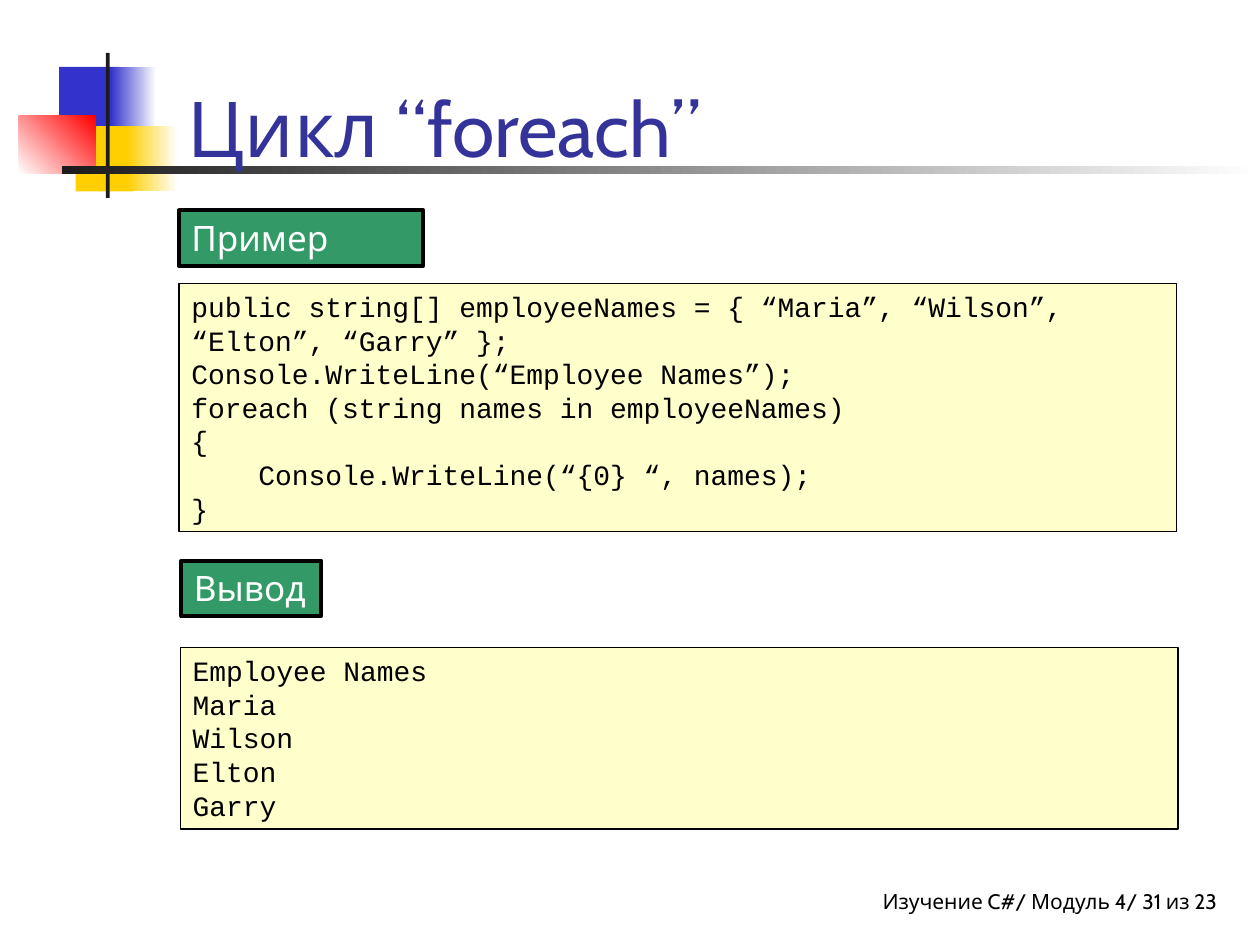
from dataclasses import dataclass

import pptx
import pptx.dml.color
import pptx.enum.shapes
import pptx.enum.text
import pptx.util
from pptx.util import Inches

COLOURS = {
    "blue": "3333CC",
    "yellow": "FFCF01",
    "red": "FF0000",
    "white": "FFFFFF",
    "dark": "1C1C1C",
    "title": "333399",
    "green": "339966",
    "cream": "FFFFCC",
    "black": "000000",
}
ALIGN = pptx.enum.text.PP_ALIGN
ANCHOR = pptx.enum.text.MSO_ANCHOR
AUTO_SIZE = pptx.enum.text.MSO_AUTO_SIZE


@dataclass
class Area:
    left: float
    top: float
    width: float
    height: float

    def lengths(self) -> tuple:
        return tuple(map(Inches, (self.left, self.top, self.width, self.height)))


@dataclass
class Block:
    """A decorative rectangle; one colour is solid, two make a gradient."""
    area: Area
    colours: tuple
    angle: float = 0


@dataclass
class TextStyle:
    font: str
    size: int
    colour: str
    align: ALIGN = ALIGN.LEFT
    anchor: ANCHOR = ANCHOR.TOP
    right_inset: float = 0.1
    auto_size: AUTO_SIZE = AUTO_SIZE.SHAPE_TO_FIT_TEXT


@dataclass
class Panel:
    """A filled and outlined box with text."""
    area: Area
    text: str
    fill: str
    line_width: float
    style: TextStyle


def colour(name: str) -> pptx.dml.color.RGBColor:
    return pptx.dml.color.RGBColor.from_string(COLOURS[name])


def add_rectangle(slide, area: Area):
    shape = slide.shapes.add_shape(
        pptx.enum.shapes.MSO_SHAPE.RECTANGLE, *area.lengths())
    shape.shadow.inherit = False
    return shape


def add_block(slide, block: Block) -> None:
    shape = add_rectangle(slide, block.area)
    shape.line.fill.background()
    if len(block.colours) == 1:
        shape.fill.solid()
        shape.fill.fore_color.rgb = colour(block.colours[0])
        return
    shape.fill.gradient()
    shape.fill.gradient_angle = block.angle
    for stop, name in zip(shape.fill.gradient_stops, block.colours):
        stop.color.rgb = colour(name)


def write_text(box, text: str, style: TextStyle) -> None:
    frame = box.text_frame
    frame.word_wrap = True
    frame.auto_size = style.auto_size
    frame.vertical_anchor = style.anchor
    frame.margin_left = Inches(0.1)
    frame.margin_right = Inches(style.right_inset)
    frame.margin_top = frame.margin_bottom = Inches(0.05)
    frame.text = text
    for para in frame.paragraphs:
        para.alignment = style.align
        for span in para.runs:
            span.font.name = style.font
            span.font.size = pptx.util.Pt(style.size)
            span.font.color.rgb = colour(style.colour)


def add_text(slide, area: Area, text: str, style: TextStyle) -> None:
    write_text(slide.shapes.add_textbox(*area.lengths()), text, style)


def add_panel(slide, panel: Panel) -> None:
    box = add_rectangle(slide, panel.area)
    box.fill.solid()
    box.fill.fore_color.rgb = colour(panel.fill)
    box.line.color.rgb = colour("black")
    box.line.width = pptx.util.Pt(panel.line_width)
    write_text(box, panel.text, panel.style)


TITLE = TextStyle("Cabin", 44, "title", anchor=ANCHOR.BOTTOM,
                  auto_size=AUTO_SIZE.NONE)
FOOTER = TextStyle("Cabin", 12, "black", align=ALIGN.RIGHT, right_inset=0)
LABEL = TextStyle("Cabin", 20, "white")
CODE = TextStyle("Courier New", 16, "black")

BLOCKS = [
    Block(Area(0.47, 0.53, 0.48, 0.52), ("blue",)),
    Block(Area(0.88, 0.53, 0.36, 0.52), ("blue", "white")),
    Block(Area(0.6, 1, 0.46, 0.52), ("yellow",)),
    Block(Area(1.01, 1, 0.4, 0.52), ("yellow", "white")),
    Block(Area(0.15, 0.92, 0.61, 0.46), ("white", "red"), angle=45),
    Block(Area(0.84, 0.42, 0.03, 1.15), ("dark",)),
    Block(Area(0.49, 1.32, 9.51, 0.06), ("dark", "white")),
]

EXAMPLE = """public string[] employeeNames = { “Maria”, “Wilson”, “Elton”, “Garry” };
Console.WriteLine(“Employee Names”);
foreach (string names in employeeNames)
{
    Console.WriteLine(“{0} “, names);
}"""
OUTPUT = "\n".join(["Employee Names", "Maria", "Wilson", "Elton", "Garry"])

PANELS = [
    Panel(Area(1.42, 1.67, 1.94, 0.44), "Пример", "green", 2.25, LABEL),
    Panel(Area(1.42, 2.25, 7.92, 1.97), EXAMPLE, "cream", 0.75, CODE),
    Panel(Area(1.44, 4.45, 1.11, 0.44), "Вывод", "green", 2.25, LABEL),
    Panel(Area(1.43, 5.14, 7.92, 1.44), OUTPUT, "cream", 0.75, CODE),
]


def main() -> None:
    deck = pptx.Presentation()
    deck.slide_width, deck.slide_height = Inches(10), Inches(7.5)
    page = deck.slides.add_slide(deck.slide_layouts[6])

    # Footer and corner decoration
    add_text(page, Area(4.58, 7, 5.08, 0.33),
             "Изучение C#/ Модуль 4/ 31 из 23", FOOTER)
    for block in BLOCKS:
        add_block(page, block)

    # Title
    add_text(page, Area(1.39, 0.17, 8.52, 1.25), "Цикл “foreach”", TITLE)

    # Example and its output
    for panel in PANELS:
        add_panel(page, panel)

    deck.save("out.pptx")


if __name__ == "__main__":
    main()
